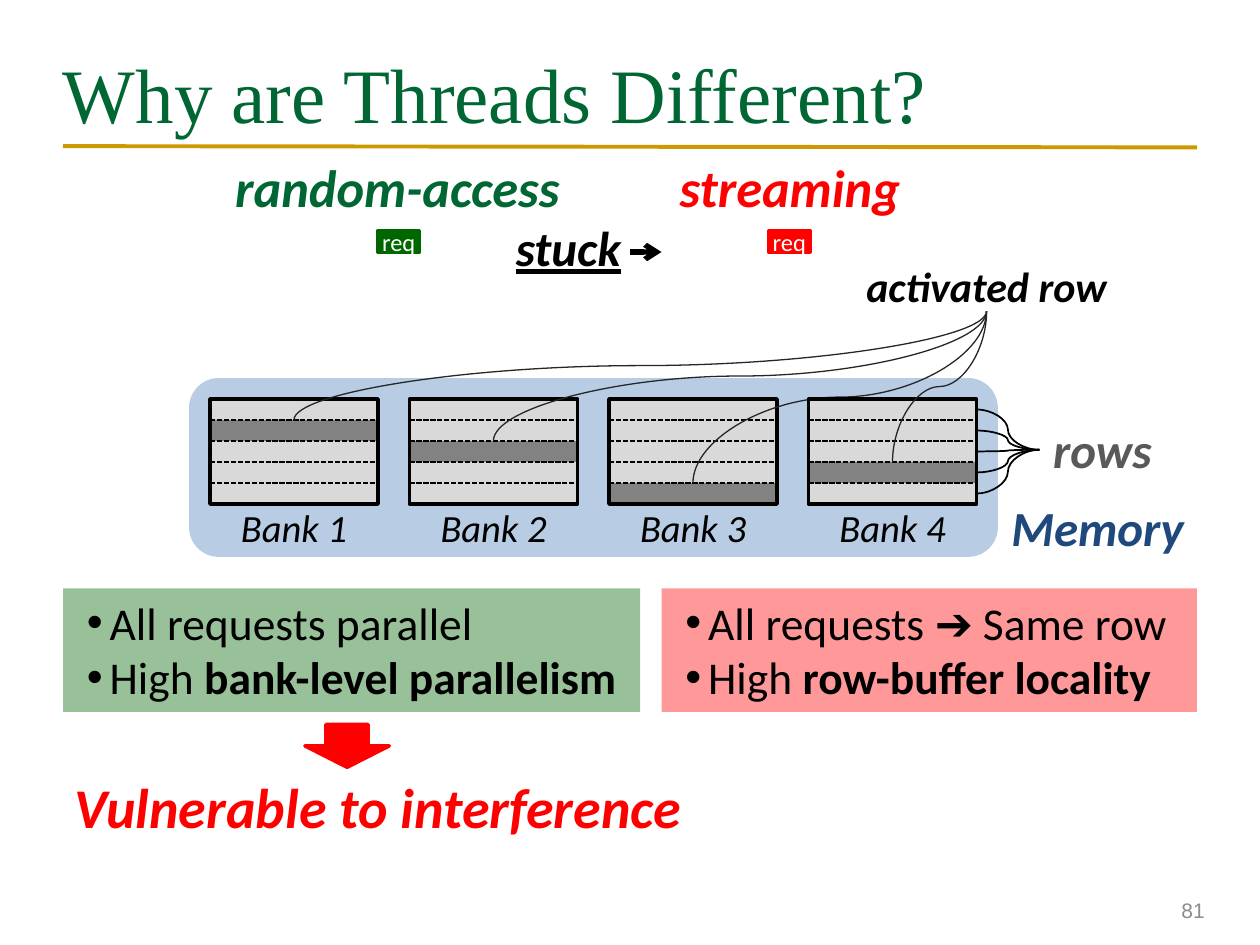
from lxml import etree
from pptx import Presentation
from pptx import util as u
from pptx.dml.color import RGBColor
from pptx.enum import dml, shapes, text
from pptx.oxml import ns

BLACK = RGBColor(0, 0, 0)
WHITE = RGBColor(255, 255, 255)
RED = RGBColor(255, 0, 0)
GREEN = RGBColor(0, 0x66, 0)
TITLE_GREEN = RGBColor(0, 0x66, 0x33)
GOLD = RGBColor(0xCC, 0x99, 0)
BLUE = RGBColor(0x4F, 0x81, 0xBD)
NAVY = RGBColor(0x1F, 0x49, 0x7D)
BANK_GRAY = RGBColor(0xD9, 0xD9, 0xD9)
ROWS_GRAY = RGBColor(0x59, 0x59, 0x59)
NUMBER_GRAY = RGBColor(0x8C, 0x8C, 0x8C)
CURVE_GRAY = RGBColor(0x26, 0x26, 0x26)

CENTER, RIGHT = text.PP_ALIGN.CENTER, text.PP_ALIGN.RIGHT
MIDDLE = text.MSO_ANCHOR.MIDDLE
SHAPE = shapes.MSO_SHAPE
STRAIGHT, CURVE = shapes.MSO_CONNECTOR.STRAIGHT, shapes.MSO_CONNECTOR.CURVE

UNIT = 1 / 12
ROW_COUNT = 5
ROW_HEIGHT = 2 * UNIT
BANK_LEFT, BANK_TOP = 20 * UNIT, 38 * UNIT
BANK_WIDTH, BANK_HEIGHT = 16 * UNIT, ROW_COUNT * ROW_HEIGHT
BANK_PITCH = 19 * UNIT

STRONG = {"bold": True, "italic": True}
BANKS = [("Bank 1", 1), ("Bank 2", 2), ("Bank 3", 4), ("Bank 4", 3)]
LABELS = [
    ("random-access", (1.83, 1.33, 2.65, 0.42), 30, TITLE_GREEN, STRONG, 0.8),
    ("streaming", (5.17, 1.33, 2.2, 0.42), 30, RED, STRONG, 0.8),
    ("stuck", (4.02, 1.73, 0.98, 0.47), 28, BLACK, {**STRONG, "underline": True}, 1),
    ("activated row", (6.83, 2.07, 2, 0.4), 24, BLACK, STRONG, 1),
    ("rows", (8.25, 3.33, 1, 0.47), 28, ROWS_GRAY, STRONG, 1),
    ("Memory", (8, 3.95, 1.42, 0.47), 28, NAVY, STRONG, 1),
    ("Vulnerable to interference", (0.5, 6.13, 5, 0.54), 32, RED, STRONG, 1),
]
PANELS = [
    ((0.5, 4.67, 4.58, 0.98), GREEN,
     [[("All requests parallel", False)],
      [("High ", False), ("bank-level parallelism", True)]]),
    ((5.25, 4.67, 4.25, 0.98), RED,
     [[("All requests ➔ Same row", False)],
      [("High ", False), ("row-buffer locality", True)]]),
]
REQUESTS = [((3, 1.83, 0.33, 0.17), GREEN), ((6.1, 1.83, 0.33, 0.17), RED)]
ROWS_POINT = (8.25, 3.57)
ACTIVATED_POINT = (7.83, 2.47)

presentation = Presentation()
presentation.slide_width, presentation.slide_height = u.Inches(10), u.Inches(7.5)
slide = presentation.slides.add_slide(presentation.slide_layouts[6])


def inches(values):
    return [u.Inches(value) for value in values]


def apply(target, formats):
    for name, value in formats.items():
        setattr(target, name, value)


def style_font(font, size, color, family="Calibri", **formats):
    apply(font, {"size": u.Pt(size), "name": family, **formats})
    font.color.rgb = color


def frame_format(frame, anchor=text.MSO_ANCHOR.TOP, vertical=0, side=0):
    apply(frame, {"word_wrap": True, "vertical_anchor": anchor,
                  "margin_left": u.Inches(side), "margin_right": u.Inches(side),
                  "margin_top": u.Inches(vertical), "margin_bottom": u.Inches(vertical)})


def write(frame, words, size, color, alignment=CENTER, spacing=None, **formats):
    paragraph = frame.paragraphs[0]
    apply(paragraph, {"alignment": alignment, "line_spacing": spacing})
    run = paragraph.add_run()
    run.text = words
    style_font(run.font, size, color, **formats)


def add_label(words, box, size, color, anchor=text.MSO_ANCHOR.TOP, side=0, **formats):
    frame = slide.shapes.add_textbox(*inches(box)).text_frame
    frame_format(frame, anchor, side=side)
    write(frame, words, size, color, **formats)


def add_block(kind, box, fill, line=None, opacity=None, parent=slide):
    block = parent.shapes.add_shape(kind, *inches(box))
    block.shadow.inherit = False
    block.fill.solid()
    block.fill.fore_color.rgb = fill
    if opacity:
        color = block.fill._xPr.find(".//" + ns.qn("a:srgbClr"))
        etree.SubElement(color, ns.qn("a:alpha"), val=str(opacity * 1000))
    if line is None:
        block.line.fill.background()
    else:
        block.line.color.rgb = line
        block.line.width = u.Pt(2)
    return block


def add_line(kind, start, end, color, width, parent=slide):
    line = parent.shapes.add_connector(kind, *inches(start + end))
    line.line.color.rgb = color
    line.line.width = u.Pt(width)
    etree.SubElement(line._element.spPr, ns.qn("a:effectLst"))
    return line


def add_rising_curve(start, end):
    center_x, center_y = (start[0] + end[0]) / 2, (start[1] + end[1]) / 2
    half_width, half_height = (start[1] - end[1]) / 2, (end[0] - start[0]) / 2
    curve = add_line(CURVE, (center_x + half_width, center_y + half_height),
                     (center_x - half_width, center_y - half_height), CURVE_GRAY, 0.75)
    curve.rotation = 90


def add_bullet(paragraph):
    properties = paragraph._p.get_or_add_pPr()
    properties.set("marL", str(u.Inches(0.37)))
    properties.set("indent", str(u.Inches(-0.18)))
    etree.SubElement(properties, ns.qn("a:buFont"), typeface="Arial")
    etree.SubElement(properties, ns.qn("a:buChar"), char="•")


add_line(STRAIGHT, (0.5, 1.16), (9.5, 1.17), GOLD, 2.25)
add_label("Why are Threads Different?", (0.5, 0.3, 9, 0.87), 44, TITLE_GREEN,
          anchor=MIDDLE, alignment=text.PP_ALIGN.LEFT, family="Times New Roman")
add_label("81", (7.33, 7.02, 2.33, 0.4), 12, NUMBER_GRAY,
          anchor=MIDDLE, side=0.1, alignment=RIGHT, family="Arial")
add_block(SHAPE.ROUNDED_RECTANGLE, (1.5, 3, 6.42, 1.42), BLUE, opacity=40)

for index, (name, active_row) in enumerate(BANKS):
    left = BANK_LEFT + index * BANK_PITCH
    bank = slide.shapes.add_group_shape()
    add_block(SHAPE.RECTANGLE, (left, BANK_TOP, BANK_WIDTH, BANK_HEIGHT),
              BANK_GRAY, BLACK, parent=bank)
    for row in range(1, ROW_COUNT):
        y = BANK_TOP + row * ROW_HEIGHT
        divider = add_line(STRAIGHT, (left, y), (left + BANK_WIDTH, y), BLACK, 1, bank)
        divider.line.dash_style = dml.MSO_LINE.SQUARE_DOT
    active_top = BANK_TOP + active_row * ROW_HEIGHT
    add_block(SHAPE.RECTANGLE, (left, active_top, BANK_WIDTH, ROW_HEIGHT), BLACK, opacity=40)
    add_label(name, (left, 4, BANK_WIDTH, 0.37), 22, BLACK, italic=True)
    add_rising_curve((left + BANK_WIDTH / 2, active_top), ACTIVATED_POINT)

banks_right = BANK_LEFT + (len(BANKS) - 1) * BANK_PITCH + BANK_WIDTH
for row in range(ROW_COUNT):
    add_line(CURVE, (banks_right, BANK_TOP + (row + 0.5) * ROW_HEIGHT), ROWS_POINT, BLACK, 1)

for words, box, size, color, formats, spacing in LABELS:
    add_label(words, box, size, color, spacing=spacing, **formats)

for box, color, lines in PANELS:
    frame = add_block(SHAPE.RECTANGLE, box, color, opacity=40).text_frame
    frame_format(frame, vertical=0.05)
    for index, runs in enumerate(lines):
        paragraph = frame.add_paragraph() if index else frame.paragraphs[0]
        paragraph.alignment = text.PP_ALIGN.LEFT
        add_bullet(paragraph)
        for words, bold in runs:
            run = paragraph.add_run()
            run.text = words
            style_font(run.font, 26, BLACK, bold=bold)

for box, color in REQUESTS:
    frame = add_block(SHAPE.RECTANGLE, box, color, color).text_frame
    frame_format(frame, MIDDLE, vertical=0.05)
    write(frame, "req", 14, WHITE)

add_block(SHAPE.DOWN_ARROW, (2.42, 5.75, 0.67, 0.34), RED, RED)
stuck_arrow = add_line(STRAIGHT, (5, 2), (5.25, 2), BLACK, 3)
etree.SubElement(stuck_arrow.line._get_or_add_ln(), ns.qn("a:tailEnd"), type="arrow")

presentation.save("out.pptx")
